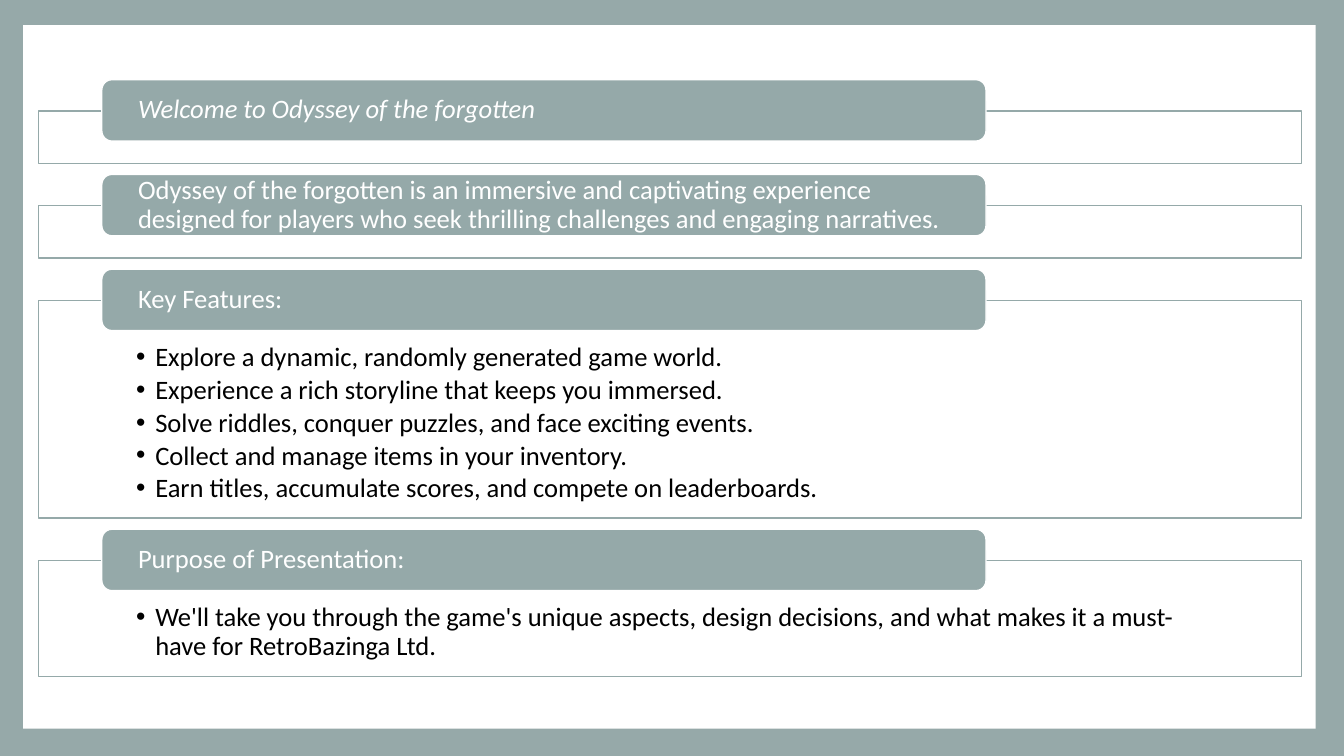
from lxml.etree import SubElement
from pptx import Presentation
from pptx.dml.color import RGBColor
from pptx.enum.shapes import MSO_SHAPE
from pptx.enum.text import MSO_ANCHOR, MSO_AUTO_SIZE, PP_ALIGN
from pptx.oxml.ns import qn
from pptx.util import Inches, Pt

FRAME = RGBColor(0x96, 0xA9, 0xA9)
SAGE = RGBColor(0x95, 0xA9, 0xA9)
WHITE = RGBColor(0xFF, 0xFF, 0xFF)
BLACK = RGBColor(0x00, 0x00, 0x00)

PANEL_LEFT, PANEL_WIDTH = 0.38, 12.53
HEADER_LEFT, HEADER_WIDTH, HEADER_HEIGHT = 1.01, 8.77, 0.61
HEADER_RISE = 0.31
FIRST_TOP, PANEL_GAP = 1.1, 0.42

SECTIONS = [
    ("Welcome to Odyssey of the forgotten", 0.52, []),
    ("Odyssey of the forgotten is an immersive and captivating experience "
     "designed for players who seek thrilling challenges and engaging narratives.", 0.52, []),
    ("Key Features:", 2.16, [
        "Explore a dynamic, randomly generated game world.",
        "Experience a rich storyline that keeps you immersed.",
        "Solve riddles, conquer puzzles, and face exciting events.",
        "Collect and manage items in your inventory.",
        "Earn titles, accumulate scores, and compete on leaderboards.",
    ]),
    ("Purpose of Presentation:", 1.15, [
        "We'll take you through the game's unique aspects, design decisions, "
        "and what makes it a must-have for RetroBazinga Ltd.",
    ]),
]


class SlideBuilder:
    font_name = "Calibri"
    font_size = Pt(19)

    def __init__(self, page):
        self.page = page
        self.title, *self.lists = page.placeholders

    def place(self, placeholder, left, top, width, height):
        self.page.shapes._spTree.append(placeholder._element)
        placeholder.left, placeholder.top = Inches(left), Inches(top)
        placeholder.width, placeholder.height = Inches(width), Inches(height)
        return placeholder

    def block(self, kind, left, top, width, height, fill, line=None):
        shape = self.page.shapes.add_shape(
            kind, Inches(left), Inches(top), Inches(width), Inches(height))
        shape.shadow.inherit = False
        self.paint(shape, fill, line)
        return shape

    def paint(self, shape, fill, line=None):
        shape.fill.solid()
        shape.fill.fore_color.rgb = fill
        if line is None:
            shape.line.fill.background()
        else:
            shape.line.color.rgb = line
            shape.line.width = Pt(1)

    def set_text(self, shape, lines, color, margins, anchor, italic=False):
        frame = shape.text_frame
        frame.text = "\n".join(lines)
        frame.word_wrap = True
        frame.auto_size = MSO_AUTO_SIZE.NONE
        frame.vertical_anchor = anchor
        side, top, bottom = margins
        frame.margin_left = frame.margin_right = Inches(side)
        frame.margin_top, frame.margin_bottom = Inches(top), Inches(bottom)
        for index, para in enumerate(frame.paragraphs):
            para.alignment = PP_ALIGN.LEFT
            para.line_spacing = 0.9
            para.space_before = Pt(2.9 if index else 0)
            para.font.name = self.font_name
            para.font.size = self.font_size
            para.font.italic = italic
            para.font.color.rgb = color
        return frame.paragraphs

    def panel(self, top, height, bullets):
        area = (PANEL_LEFT, top, PANEL_WIDTH, height)
        if bullets:
            box = self.place(self.lists.pop(0), *area)
            self.paint(box, WHITE, SAGE)
            for para in self.set_text(box, bullets, BLACK, (0.97, 0.43, 0.15), MSO_ANCHOR.TOP):
                self.bullet(para)
        else:
            box = self.block(MSO_SHAPE.RECTANGLE, *area, WHITE, SAGE)
        color = box._element.spPr.find(qn("a:solidFill"))[0]
        SubElement(color, qn("a:alpha"), val="90000")

    def bullet(self, para):
        properties = para._p.get_or_add_pPr()
        properties.set("marL", str(Inches(0.19)))
        properties.set("indent", str(Inches(-0.19)))
        mark = SubElement(properties, qn("a:buChar"), char="•")
        properties.find(qn("a:defRPr")).addprevious(mark)

    def header(self, top, text, is_title):
        area = (HEADER_LEFT, top, HEADER_WIDTH, HEADER_HEIGHT)
        box = self.block(MSO_SHAPE.ROUNDED_RECTANGLE, *area, SAGE, WHITE)
        side = 0.33
        if is_title:
            box = self.place(self.title, *area)
            side = 0.36
        self.set_text(box, [text], WHITE, (side, 0, 0), MSO_ANCHOR.MIDDLE, is_title)


def main():
    deck = Presentation()
    deck.slide_width, deck.slide_height = Inches(13.33), Inches(7.5)
    two_content = deck.slide_layouts[3]
    builder = SlideBuilder(deck.slides.add_slide(two_content))
    builder.block(MSO_SHAPE.RECTANGLE, 0, 0, 13.33, 7.5, FRAME)
    builder.block(MSO_SHAPE.RECTANGLE, 0.23, 0.25, 12.82, 6.98, WHITE)
    top = FIRST_TOP
    for index, (heading, height, bullets) in enumerate(SECTIONS):
        builder.panel(top, height, bullets)
        builder.header(top - HEADER_RISE, heading, index == 0)
        top += height + PANEL_GAP
    deck.save("out.pptx")


if __name__ == "__main__":
    main()
